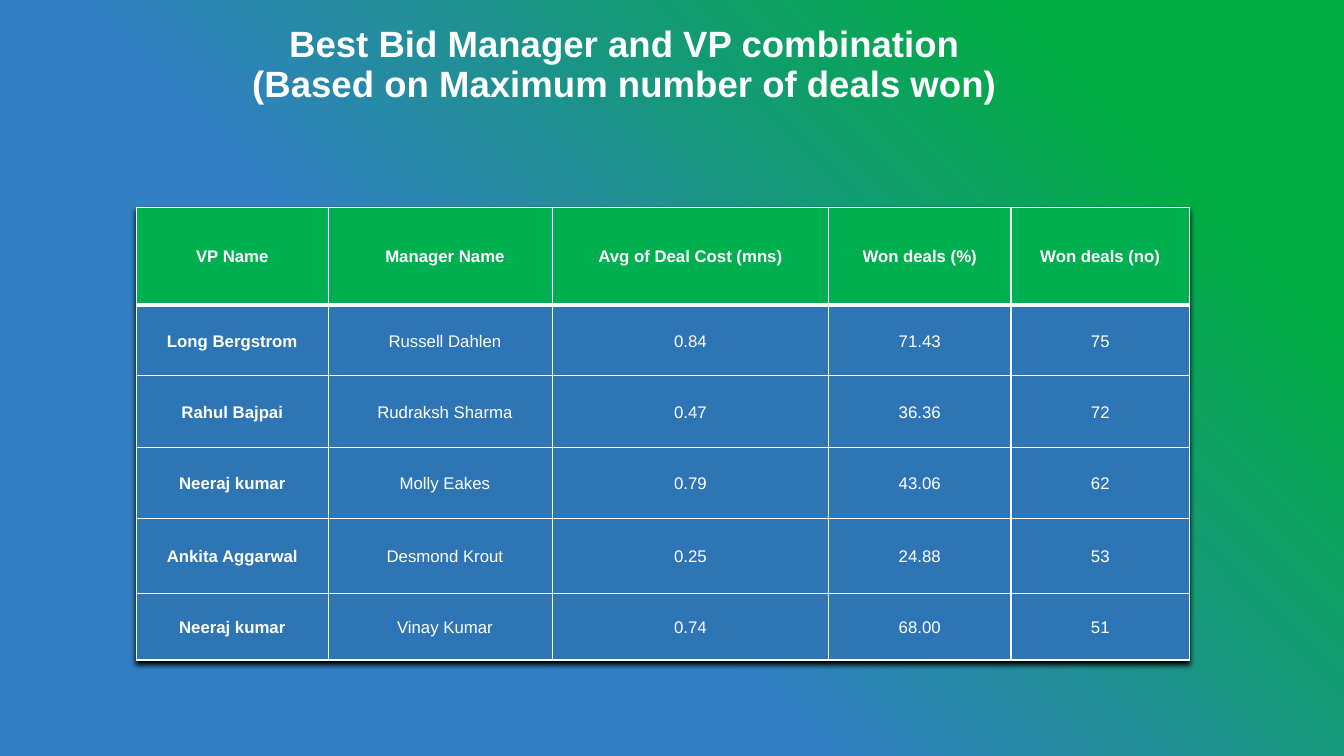
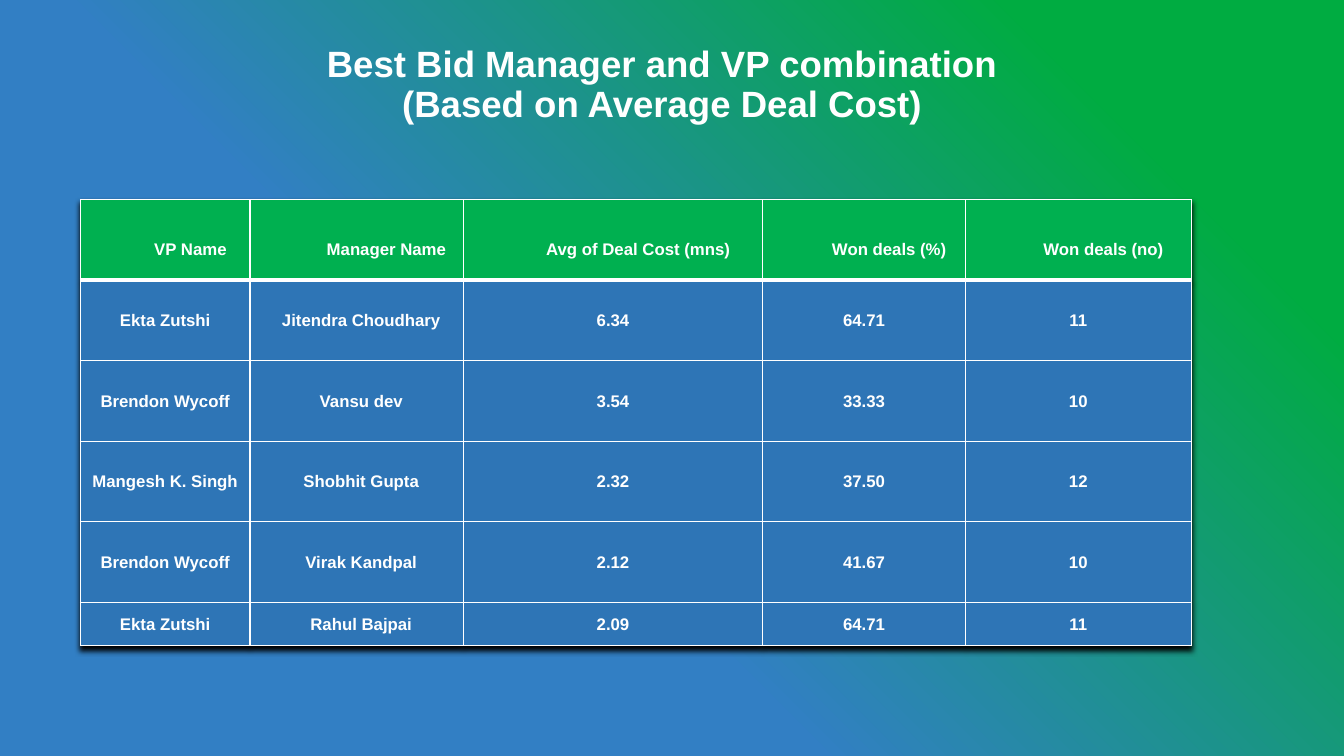
"""Build two slides that rank bid manager and VP combinations."""
from dataclasses import dataclass

from lxml import etree
from pptx import Presentation
from pptx import util as u
from pptx.dml.color import RGBColor
from pptx.enum import text
from pptx.oxml import ns

Cm, Pt = u.Cm, u.Pt
FONT = "Arial"
COLORS = {
    "blue": "327FC4",
    "green": "00AC41",
    "header": "00B050",
    "body": "2E75B6",
    "white": "FFFFFF",
    "shadow": "000000",
}
HEADINGS = ("VP Name", "Manager Name", "Avg of Deal Cost (mns)", "Won deals (%)", "Won deals (no)")
MANAGER_COLUMN = 1
INSET = 0.18
MANAGER_SHIFT = 0.23


@dataclass(frozen=True)
class Box:
    left: float
    top: float
    width: float
    height: float

    def lengths(self) -> tuple:
        return Cm(self.left), Cm(self.top), Cm(self.width), Cm(self.height)


@dataclass(frozen=True)
class Ranking:
    title: str
    title_box: Box
    left: float
    top: float
    columns: tuple
    heights: tuple
    deals: tuple
    bold_columns: int
    header_indent: float = 0
    header_spacing: float = 1.07


RANKINGS = (
    Ranking(
        title="Best Bid Manager and VP combination\n(Based on Maximum number of deals won)",
        title_box=Box(5.44, 0.74, 20.6, 1.83),
        left=3.43,
        top=5.23,
        columns=(4.85, 5.64, 6.96, 4.6, 4.5),
        heights=(2.46, 1.78, 1.8, 1.8, 1.88, 1.68),
        deals=(
            ("Long Bergstrom", "Russell Dahlen", "0.84", "71.43", "75"),
            ("Rahul Bajpai", "Rudraksh Sharma", "0.47", "36.36", "72"),
            ("Neeraj kumar", "Molly Eakes", "0.79", "43.06", "62"),
            ("Ankita Aggarwal", "Desmond Krout", "0.25", "24.88", "53"),
            ("Neeraj kumar", "Vinay Kumar", "0.74", "68.00", "51"),
        ),
        bold_columns=1,
    ),
    Ranking(
        title="Best Bid Manager and VP combination\n(Based on Average Deal Cost)",
        title_box=Box(8.05, 1.42, 17.28, 1.47),
        left=2.03,
        top=5.03,
        columns=(4.27, 5.38, 7.54, 5.11, 5.69),
        heights=(2.03,) * 5 + (1.09,),
        deals=(
            ("Ekta Zutshi", "Jitendra Choudhary", "6.34", "64.71", "11"),
            ("Brendon Wycoff", "Vansu dev", "3.54", "33.33", "10"),
            ("Mangesh K. Singh", "Shobhit Gupta", "2.32", "37.50", "12"),
            ("Brendon Wycoff", "Virak Kandpal", "2.12", "41.67", "10"),
            ("Ekta Zutshi", "Rahul Bajpai", "2.09", "64.71", "11"),
        ),
        bold_columns=len(HEADINGS),
        header_indent=1.27,
        header_spacing=2,
    ),
)


def rgb(name: str) -> RGBColor:
    return RGBColor.from_string(COLORS[name])


def add_child(parent, tag: str, **attributes):
    return etree.SubElement(parent, ns.qn(tag), attributes)


def set_background(master) -> None:
    fill = master.background.fill
    fill.gradient()
    fill.gradient_angle = 45
    for stop, position, color in zip(fill.gradient_stops, (0.39, 0.84), ("blue", "green")):
        stop.position = position
        stop.color.rgb = rgb(color)


def format_paragraph(paragraph, size: float, bold: bool, spacing: float) -> None:
    paragraph.alignment = text.PP_ALIGN.CENTER
    paragraph.line_spacing = spacing
    paragraph.font.name = FONT
    paragraph.font.size = Pt(size)
    paragraph.font.bold = bold
    paragraph.font.color.rgb = rgb("white")


def set_title(slide, ranking: Ranking) -> None:
    title = slide.shapes.title
    title.left, title.top, title.width, title.height = ranking.title_box.lengths()
    frame = title.text_frame
    frame.text = ranking.title
    frame.auto_size = text.MSO_AUTO_SIZE.NONE
    frame.vertical_anchor = text.MSO_ANCHOR.MIDDLE
    frame.margin_left = frame.margin_right = 0
    for paragraph in frame.paragraphs:
        format_paragraph(paragraph, 26.1, True, 0.9)


def set_borders(cell, top: float, bottom: float) -> None:
    properties = cell._tc.get_or_add_tcPr()
    widths = {"a:lnL": 1, "a:lnR": 1, "a:lnT": top, "a:lnB": bottom}
    for position, (side, width) in enumerate(widths.items()):
        line = etree.Element(ns.qn(side), w=str(Pt(width)))
        add_child(add_child(line, "a:solidFill"), "a:srgbClr", val=COLORS["white"])
        properties.insert(position, line)


def add_table_shadow(table) -> None:
    effects = etree.Element(ns.qn("a:effectLst"))
    shadow = add_child(effects, "a:outerShdw", blurRad=str(Pt(4)), dist=str(Pt(3)),
                       dir="5400000", algn="t", rotWithShape="0")
    add_child(shadow, "a:srgbClr", val=COLORS["shadow"])
    table._tbl.tblPr.insert(0, effects)


def fill_cell(cell, wording: str, row: int, column: int, ranking: Ranking) -> None:
    is_header = row == 0
    indent = ranking.header_indent if is_header else 0
    shift = MANAGER_SHIFT if column == MANAGER_COLUMN else 0
    cell.text = wording
    cell.vertical_anchor = text.MSO_ANCHOR.MIDDLE
    cell.margin_left, cell.margin_right = Cm(INSET + indent + shift), Cm(INSET)
    cell.margin_top = cell.margin_bottom = 0
    cell.fill.solid()
    cell.fill.fore_color.rgb = rgb("header" if is_header else "body")
    set_borders(cell, top=3 if row == 1 else 1, bottom=3 if is_header else 1)
    format_paragraph(cell.text_frame.paragraphs[0], 12,
                     is_header or column < ranking.bold_columns,
                     ranking.header_spacing if is_header else 1.07)


def add_deals_table(slide, ranking: Ranking) -> None:
    box = Box(ranking.left, ranking.top, sum(ranking.columns), sum(ranking.heights))
    rows = (HEADINGS, *ranking.deals)
    table = slide.shapes.add_table(len(rows), len(HEADINGS), *box.lengths()).table
    table.horz_banding = False
    for column, width in zip(table.columns, ranking.columns):
        column.width = Cm(width)
    for row, height in zip(table.rows, ranking.heights):
        row.height = Cm(height)
    for row, wordings in enumerate(rows):
        for column, wording in enumerate(wordings):
            fill_cell(table.cell(row, column), wording, row, column, ranking)
    add_table_shadow(table)


def main() -> None:
    deck = Presentation()
    deck.slide_width, deck.slide_height = Cm(33.87), Cm(19.05)
    set_background(deck.slide_master)
    title_only = deck.slide_layouts.get_by_name("Title Only")
    for ranking in RANKINGS:
        slide = deck.slides.add_slide(title_only)
        set_title(slide, ranking)
        add_deals_table(slide, ranking)
    deck.save("out.pptx")


if __name__ == "__main__":
    main()
